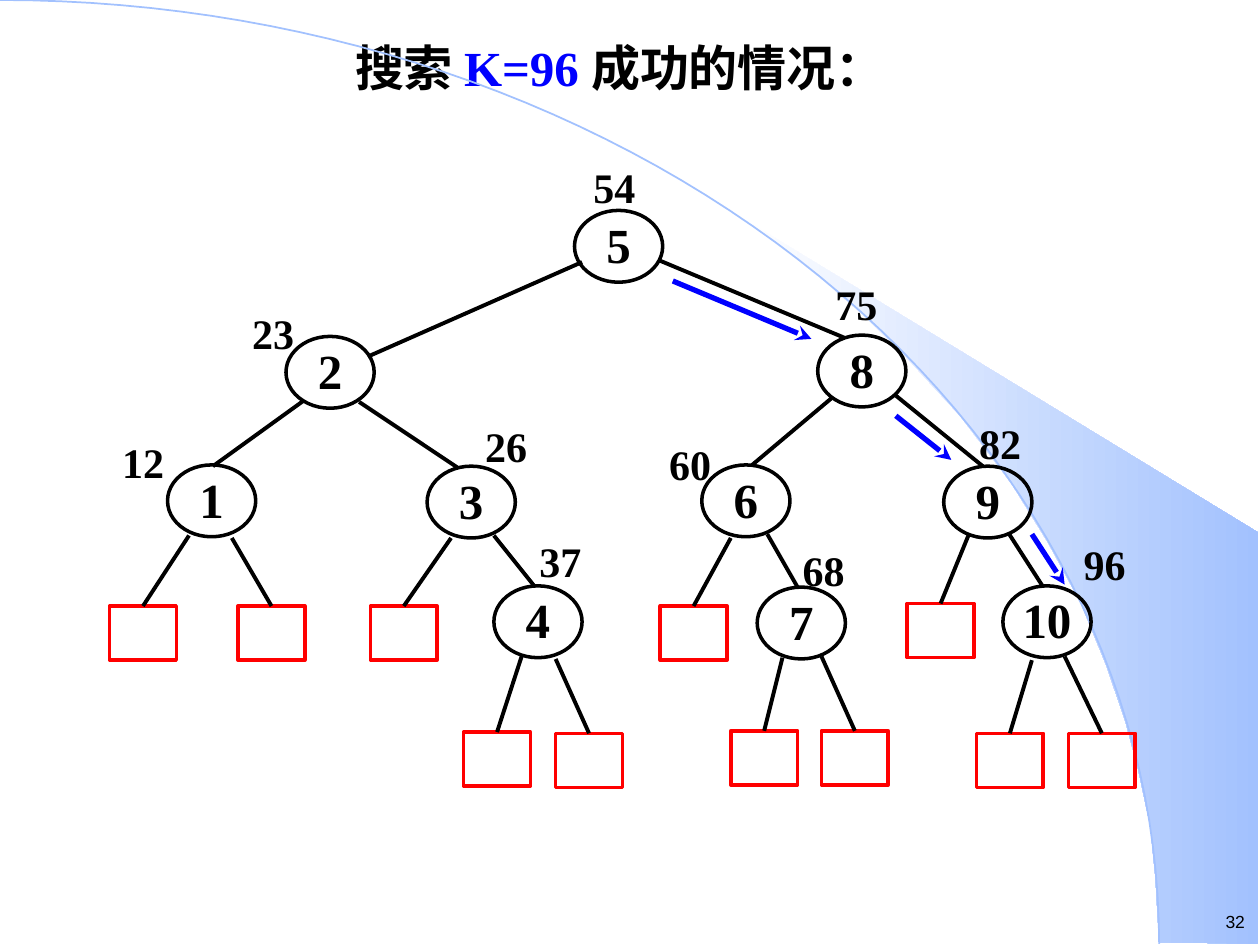
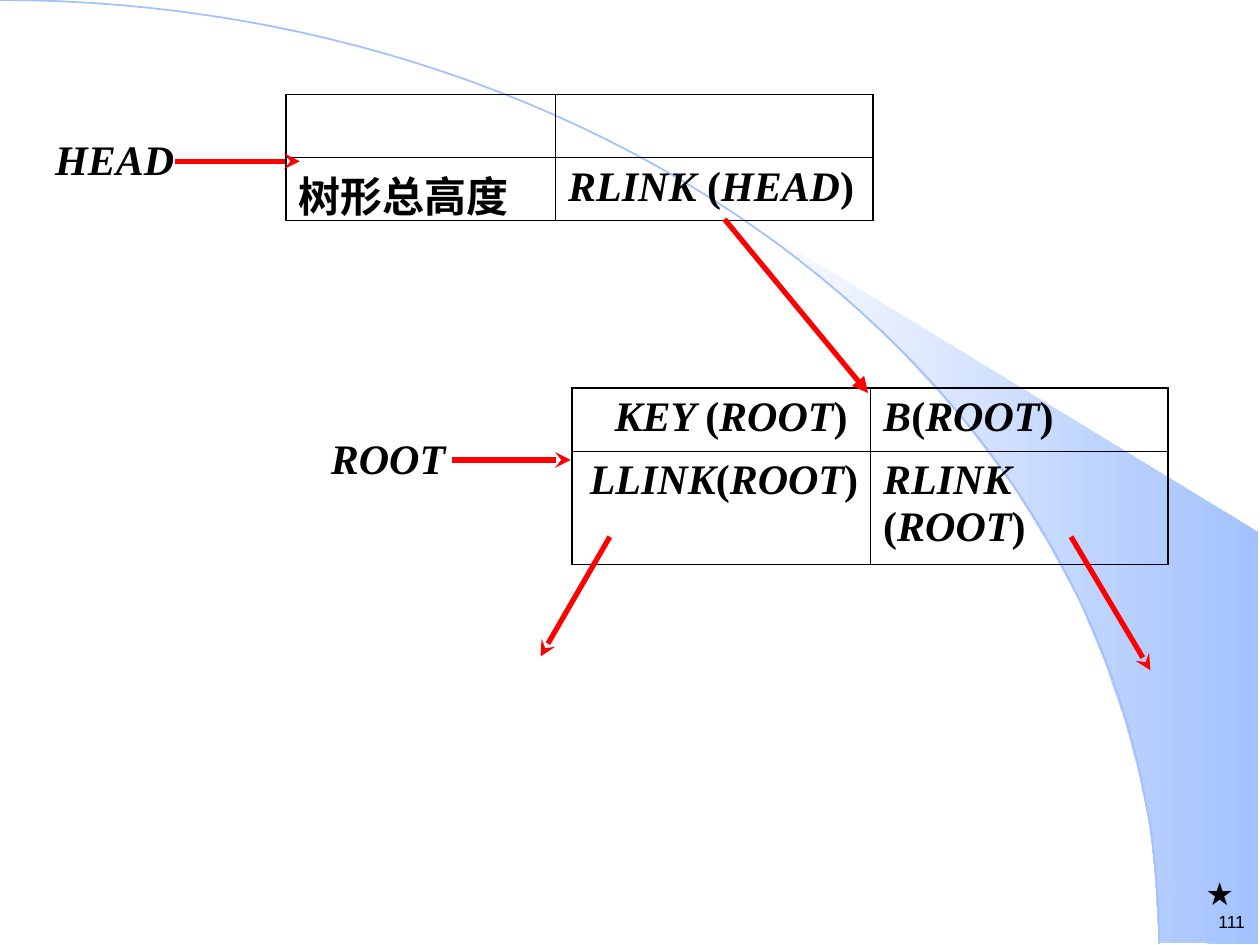
import math

from lxml import etree
from pptx import Presentation
from pptx import util as u
from pptx.dml.color import RGBColor
from pptx.enum import shapes, text
from pptx.oxml.ns import qn

COLORS = {"ink": "000000", "blue": "0000FF", "red": "FF0000", "sky": "A2C1FE", "white": "FFFFFF"}
SERIF, SANS = "Times New Roman", "Arial"
LEFT, CENTER, RIGHT = text.PP_ALIGN.LEFT, text.PP_ALIGN.CENTER, text.PP_ALIGN.RIGHT
TOP, MIDDLE = text.MSO_ANCHOR.TOP, text.MSO_ANCHOR.MIDDLE

BAND = [(9.2, 7.48), (9.99, 7.49), (9.99, 4.23), (5.89, 1.73), (6.24, 1.99), (6.53, 2.22),
        (6.85, 2.5), (7.16, 2.8), (7.62, 3.3), (8.03, 3.84), (8.32, 4.31), (8.58, 4.79),
        (8.78, 5.28), (8.93, 5.72), (9.03, 6.09), (9.13, 6.56), (9.17, 6.96)]
ARC_WIDTH, ARC_HEIGHT, ARC_STEPS = 9.2, 7.49, 60

NODE_SIZE = (0.7, 0.57)
LEAF_SIZE = (0.53, 0.43)
KEY_SIZE = (0.39, 0.28)
NODES = {
    1: (1.33, 3.69), 2: (2.27, 2.67), 3: (3.39, 3.7), 4: (3.92, 4.65), 5: (4.56, 1.67),
    6: (5.57, 3.69), 7: (6.01, 4.66), 8: (6.49, 2.66), 9: (7.49, 3.7), 10: (7.96, 4.65),
}
KEYS = {
    12: (0.97, 3.57), 23: (2, 2.55), 26: (3.85, 3.45), 37: (4.28, 4.36), 54: (4.71, 1.39),
    60: (5.31, 3.59), 68: (6.37, 4.43), 75: (6.63, 2.32), 82: (7.77, 3.42), 96: (8.6, 4.38),
}
BRANCHES = [
    ((4.62, 2.08), (2.92, 2.83)), ((5.24, 2.07), (6.7, 2.68)),
    ((2.41, 3.18), (1.69, 3.7)), ((2.85, 3.19), (3.63, 3.71)),
    ((6.6, 3.16), (5.97, 3.69)), ((7.11, 3.14), (7.8, 3.7)),
    ((3.92, 4.25), (4.24, 4.65)), ((6.09, 4.24), (6.33, 4.66)), ((8.01, 4.24), (8.28, 4.66)),
]
LEAVES = [
    ((1.5, 4.25), (0.87, 4.81)), ((1.84, 4.27), (1.89, 4.81)), ((3.58, 4.27), (2.94, 4.81)),
    ((5.8, 4.27), (5.24, 4.81)), ((7.69, 4.24), (7.2, 4.79)),
    ((4.14, 5.21), (3.68, 5.81)), ((4.41, 5.23), (4.41, 5.82)),
    ((6.21, 5.22), (5.8, 5.8)), ((6.52, 5.21), (6.52, 5.8)),
    ((8.19, 5.24), (7.75, 5.82)), ((8.45, 5.21), (8.48, 5.82)),
]
SEARCH_STEPS = [((5.34, 2.23), (6.44, 2.69)), ((7.11, 3.3), (7.55, 3.65)),
                ((8.19, 4.24), (8.45, 4.64))]


def rgb(name):
    return RGBColor.from_string(COLORS[name])


def inches(values):
    return [u.Inches(value) for value in values]


def write(frame, spans, size=24, font=SERIF, color="ink", bold=True, italic=False,
          align=LEFT, anchor=TOP, spacing=None, margins=None):
    if isinstance(spans, str):
        spans = [(spans, {})]
    frame.word_wrap = True
    frame.vertical_anchor = anchor
    if margins:
        (frame.margin_left, frame.margin_top,
         frame.margin_right, frame.margin_bottom) = inches(margins)
    para = frame.paragraphs[0]
    para.alignment = align
    if spacing:
        para.line_spacing = spacing
    for words, style in spans:
        span = para.add_run()
        span.text = words
        span.font.size = u.Pt(size)
        span.font.name = font
        span.font.bold = bold
        span.font.italic = style.get("italic", italic)
        span.font.color.rgb = rgb(style.get("color", color))


def formula(*parts):
    return [(part, {"italic": index % 2 == 0}) for index, part in enumerate(parts)]


class Board:
    def __init__(self):
        self.deck = Presentation()
        self.deck.slide_width, self.deck.slide_height = inches((10, 7.5))
        self.page = None

    def new_page(self, number, title=None):
        layout = self.deck.slide_layouts[5 if title else 6]
        self.page = self.deck.slides.add_slide(layout)
        self.background()
        self.label((9.41, 7.18), (0.49, 0.27), str(number), size=10, font=SANS, bold=False,
                   align=RIGHT, margins=(0.02, 0.05, 0.02, 0.05))
        if title:
            box = self.page.shapes.title
            box.left, box.top, box.width, box.height = inches((0.17, 0.25, 9.5, 0.7))
            box.text_frame.auto_size = text.MSO_AUTO_SIZE.NONE
            write(box.text_frame, title, size=28, align=CENTER)

    def outline(self, points, close):
        points = [tuple(inches(point)) for point in points]
        builder = self.page.shapes.build_freeform(*points[0], scale=1.0)
        builder.add_line_segments(points[1:], close=close)
        shape = builder.convert_to_shape()
        shape.shadow.inherit = False
        return shape

    def background(self):
        band = self.outline(BAND, True)
        band.line.fill.background()
        band.fill.gradient()
        band.fill.gradient_angle = 0
        for stop, position, color in zip(band.fill.gradient_stops, (0, 1), ("white", "sky")):
            stop.position = position
            stop.color.rgb = rgb(color)
        angles = [math.pi / 2 * step / ARC_STEPS for step in range(ARC_STEPS + 1)]
        arc = self.outline([(ARC_WIDTH * math.sin(angle), ARC_HEIGHT * (1 - math.cos(angle)))
                            for angle in angles], False)
        arc.fill.background()
        arc.line.color.rgb = rgb("sky")
        arc.line.width = u.Pt(1)

    def label(self, place, size_box, words, margins=(0, 0, 0, 0), **style):
        box = self.page.shapes.add_textbox(*inches(place + size_box))
        write(box.text_frame, words, margins=margins, **style)

    def shape(self, kind, place, size_box, color):
        shape = self.page.shapes.add_shape(kind, *inches(place + size_box))
        shape.shadow.inherit = False
        shape.fill.background()
        shape.line.color.rgb = rgb(color)
        shape.line.width = u.Pt(2)
        return shape

    def node(self, number, place):
        oval = self.shape(shapes.MSO_SHAPE.OVAL, place, NODE_SIZE, "ink")
        write(oval.text_frame, str(number), size=28, align=CENTER, anchor=MIDDLE,
              spacing=u.Pt(28), margins=(0.02, 0.04, 0.02, 0))

    def leaf(self, start, place):
        box = self.shape(shapes.MSO_SHAPE.RECTANGLE, place, LEAF_SIZE, "red")
        self.line(start, place).end_connect(box, 0)

    def line(self, start, end, color="ink", width=2.25, head=None):
        line = self.page.shapes.add_connector(shapes.MSO_CONNECTOR.STRAIGHT, *inches(start + end))
        line.line.color.rgb = rgb(color)
        line.line.width = u.Pt(width)
        properties = line.element.spPr
        if head:
            etree.SubElement(properties.find(qn("a:ln")), qn("a:tailEnd"), type=head)
        etree.SubElement(properties, qn("a:effectLst"))
        return line

    def arrow(self, start, end, color="red", head="stealth"):
        self.line(start, end, color, 3, head)

    def table(self, place, widths, heights, rows):
        size_box = (sum(widths), sum(heights))
        frame = self.page.shapes.add_table(len(heights), len(widths), *inches(place + size_box))
        table = frame.table
        table.first_row = table.horz_banding = False
        for column, width in zip(table.columns, widths):
            column.width = u.Inches(width)
        for row, height in zip(table.rows, heights):
            row.height = u.Inches(height)
        for r, row in enumerate(rows):
            for c, (words, align) in enumerate(row):
                cell = table.cell(r, c)
                cell.fill.background()
                cell.margin_bottom = 0
                outer = {"L": c == 0, "R": c == len(widths) - 1,
                         "T": r == 0, "B": r == len(heights) - 1}
                self.borders(cell, outer)
                if words:
                    para_frame = cell.text_frame
                    write(para_frame, words, align=align)

    def borders(self, cell, outer):
        properties = cell._tc.get_or_add_tcPr()
        for index, (side, is_outer) in enumerate(outer.items()):
            border = etree.Element(qn("a:ln" + side), w=str(u.Pt(1.08 if is_outer else 0.45)))
            fill = etree.SubElement(border, qn("a:solidFill"))
            etree.SubElement(fill, qn("a:srgbClr"), val=COLORS["ink"])
            properties.insert(index, border)


def search_tree(board):
    board.new_page(32, [("搜索 ", {}), ("K=96 ", {"color": "blue"}), ("成功的情况：", {})])
    for start, end in BRANCHES:
        board.line(start, end)
    for start, place in LEAVES:
        board.leaf(start, place)
    for number, place in NODES.items():
        board.node(number, place)
    for key, place in KEYS.items():
        board.label(place, KEY_SIZE, str(key), spacing=0.7)
    for start, end in SEARCH_STEPS:
        board.arrow(start, end, "blue")


def head_and_root(board):
    board.new_page(111)
    board.table((2.27, 0.75), (2.14, 2.52), (0.5, 0.5), [
        [("", LEFT), ("", LEFT)],
        [("树形总高度", LEFT), (formula("RLINK", " (", "HEAD", ")"), LEFT)],
    ])
    board.table((4.54, 3.08), (2.37, 2.36), (0.5, 0.9), [
        [(formula("KEY ", "(", "ROOT", ") "), RIGHT), (formula("B", "(", "ROOT", ")"), LEFT)],
        [(formula("LLINK", "(", "ROOT", ") "), RIGHT),
         (formula("RLINK", " (", "ROOT", ")"), LEFT)],
    ])
    board.label((0.35, 1.06), (1.12, 0.4), "HEAD", italic=True, align=CENTER)
    board.label((2.54, 3.43), (1.08, 0.4), "ROOT", italic=True, align=CENTER)
    board.arrow((1.39, 1.28), (2.38, 1.28))
    board.arrow((3.59, 3.65), (4.53, 3.65))
    board.arrow((5.75, 1.74), (6.89, 3.12), head="triangle")
    board.arrow((4.84, 4.26), (4.29, 5.21))
    board.arrow((8.5, 4.26), (9.13, 5.32))
    board.label((9.47, 6.89), (0.4, 0.4), "★", size=18, font=SANS, bold=False,
                margins=(0.1, 0.05, 0.1, 0.05))


def main():
    board = Board()
    search_tree(board)
    head_and_root(board)
    board.deck.save("out.pptx")


if __name__ == "__main__":
    main()
